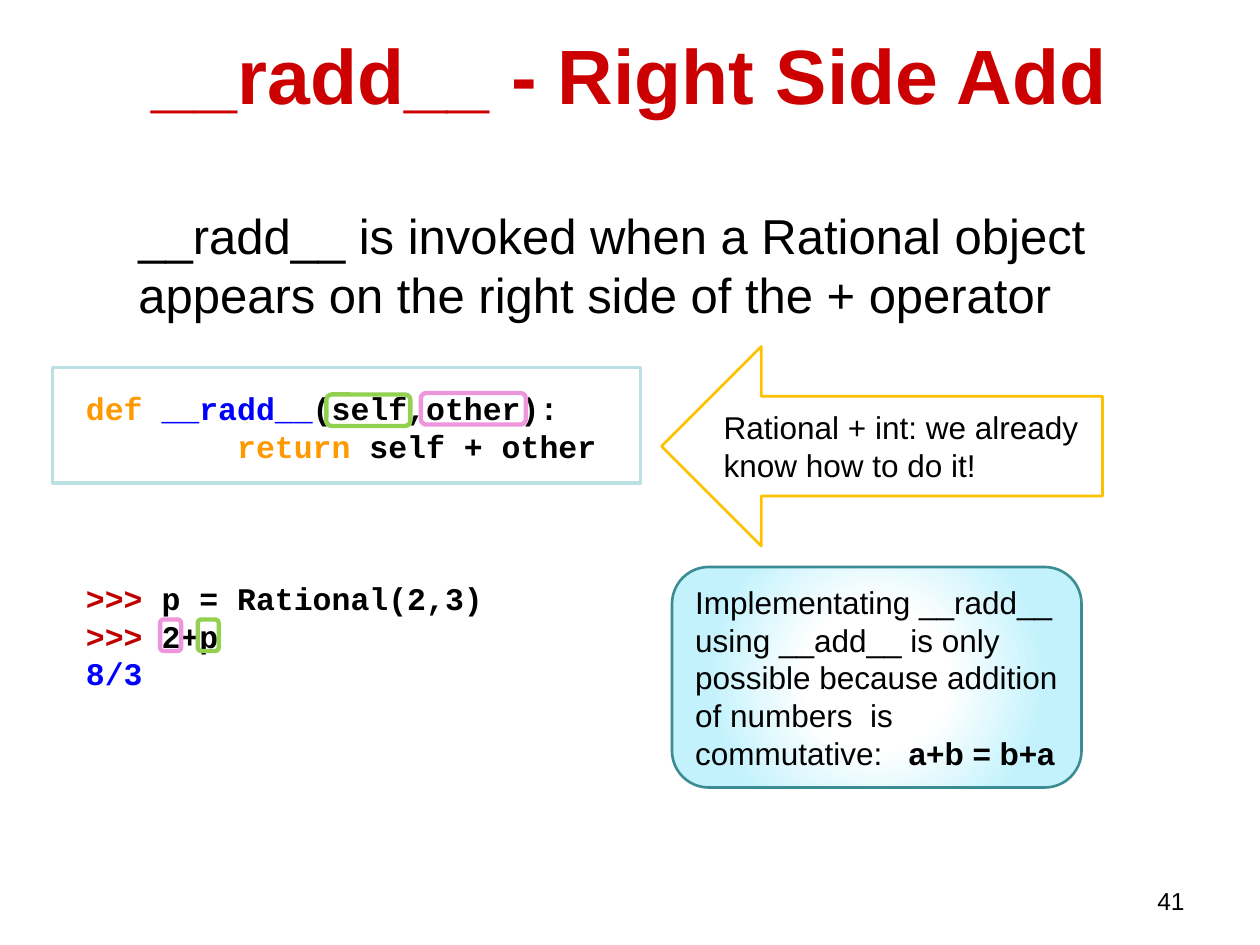
from dataclasses import dataclass

from lxml import etree
from pptx import Presentation
from pptx.dml.color import RGBColor
from pptx.enum.shapes import MSO_SHAPE
from pptx.enum.text import MSO_ANCHOR, PP_ALIGN
from pptx.util import Pt

RECTANGLE = MSO_SHAPE.RECTANGLE
ROUNDED = MSO_SHAPE.ROUNDED_RECTANGLE
LEFT_ARROW = MSO_SHAPE.LEFT_ARROW
SOFT_BOX = MSO_SHAPE.FLOWCHART_ALTERNATE_PROCESS
TOP, MIDDLE = MSO_ANCHOR.TOP, MSO_ANCHOR.MIDDLE
LEFT, CENTER, RIGHT = PP_ALIGN.LEFT, PP_ALIGN.CENTER, PP_ALIGN.RIGHT


@dataclass
class Theme:
    sans: str = "Arial"
    mono: str = "Courier New"
    title_size: int = 44
    body_size: int = 28
    text_size: int = 18
    number_size: int = 14
    black: str = "000000"
    title: str = "CC0000"
    keyword: str = "FF9900"
    blue: str = "0000FF"
    prompt: str = "C00000"
    green: str = "92D050"
    pink: str = "EE96DB"
    gold: str = "FFC000"
    teal: str = "3C8C93"
    frame: str = "BBE0E3"
    glow: str = "C3F2FD"
    white: str = "FFFFFF"


theme = Theme()
prs = Presentation()
prs.slide_width, prs.slide_height = Pt(720), Pt(540)
slide = prs.slides.add_slide(prs.slide_layouts[6])


def write(holder, lines, size, font=theme.sans, align=LEFT, anchor=TOP, before=0):
    frame = holder.text_frame
    frame.word_wrap = True
    frame.vertical_anchor = anchor
    for index, runs in enumerate(lines):
        paragraph = frame.paragraphs[0] if index == 0 else frame.add_paragraph()
        paragraph.alignment = align
        paragraph.space_before = Pt(before)
        paragraph.font.name = font
        paragraph.font.size = Pt(size)
        for text, color, bold in runs:
            run = paragraph.add_run()
            run.text = text
            run.font.bold = bold
            run.font.color.rgb = RGBColor.from_string(color)
    return frame.paragraphs


def outline(kind, box, color, width):
    shape = slide.shapes.add_shape(kind, *map(Pt, box))
    shape.shadow.inherit = False
    shape.fill.background()
    shape.line.color.rgb = RGBColor.from_string(color)
    shape.line.width = Pt(width)
    return shape


code = slide.shapes.add_textbox(Pt(42), Pt(219), Pt(312), Pt(181))
code_lines = write(code, [
    [("def ", theme.keyword, True), ("__radd__", theme.blue, True),
     ("(self,other):", theme.black, True)],
    [("return", theme.keyword, True), (" self + other", theme.black, True)],
    [(">>>", theme.prompt, True), (" p = Rational(2,3)", theme.black, True)],
    [(">>>", theme.prompt, True), (" 2+p", theme.black, True)],
    [("8/3", theme.blue, True)],
], theme.text_size, theme.mono)
code_lines[1]._p.get_or_add_pPr().set("marL", str(Pt(86.4)))
code_lines[2].space_before = Pt(65)

page_number = slide.shapes.add_textbox(Pt(516), Pt(503), Pt(168), Pt(18))
write(page_number, [[("41", theme.black, False)]], theme.number_size, align=RIGHT)

title = slide.shapes.add_textbox(Pt(36), Pt(12), Pt(648), Pt(60))
write(title, [[("__radd__ - Right Side Add", theme.title, True)]],
      theme.title_size, align=CENTER, anchor=MIDDLE)

explanation = slide.shapes.add_textbox(Pt(72), Pt(114), Pt(624), Pt(77))
write(explanation, [[("__radd__ is invoked when a Rational object appears on the "
                      "right side of the + operator", theme.black, False)]],
      theme.body_size, before=5.6)

for left, top, width, color in [
    (186.5, 225.4, 48, theme.green),
    (113, 354, 12, theme.green),
    (91.5, 354, 12, theme.pink),
    (240.5, 224.6, 60, theme.pink),
]:
    outline(ROUNDED, (left, top, width, 18), color, 2.5)

arrow = outline(LEFT_ARROW, (378, 198, 252, 114), theme.gold, 1.5)
write(arrow, [[("Rational + int: we already know how to do it!", theme.black, False)]],
      theme.text_size, anchor=MIDDLE, before=9)

remark = outline(SOFT_BOX, (384, 324, 234, 126), theme.teal, 1.5)
remark.fill.gradient()
gradient = remark.fill._xPr.find("{*}gradFill")
for stop, position, color in zip(remark.fill.gradient_stops, (0.31, 0.73),
                                 (theme.white, theme.glow)):
    stop.position = position
    stop.color.rgb = RGBColor.from_string(color)
linear = gradient.find("{*}lin")
namespace = etree.QName(linear).namespace
radial = etree.Element(f"{{{namespace}}}path", path="circle")
etree.SubElement(radial, f"{{{namespace}}}fillToRect",
                 {side: "50000" for side in "ltrb"})
gradient.replace(linear, radial)
write(remark, [[("Implementating __radd__ using __add__ is only possible because "
                 "addition of numbers  is commutative:   ", theme.black, False),
                ("a+b = b+a", theme.black, True)]],
      theme.text_size, anchor=MIDDLE, before=9)

outline(RECTANGLE, (30, 210, 336, 66), theme.frame, 2)

prs.save("out.pptx")
